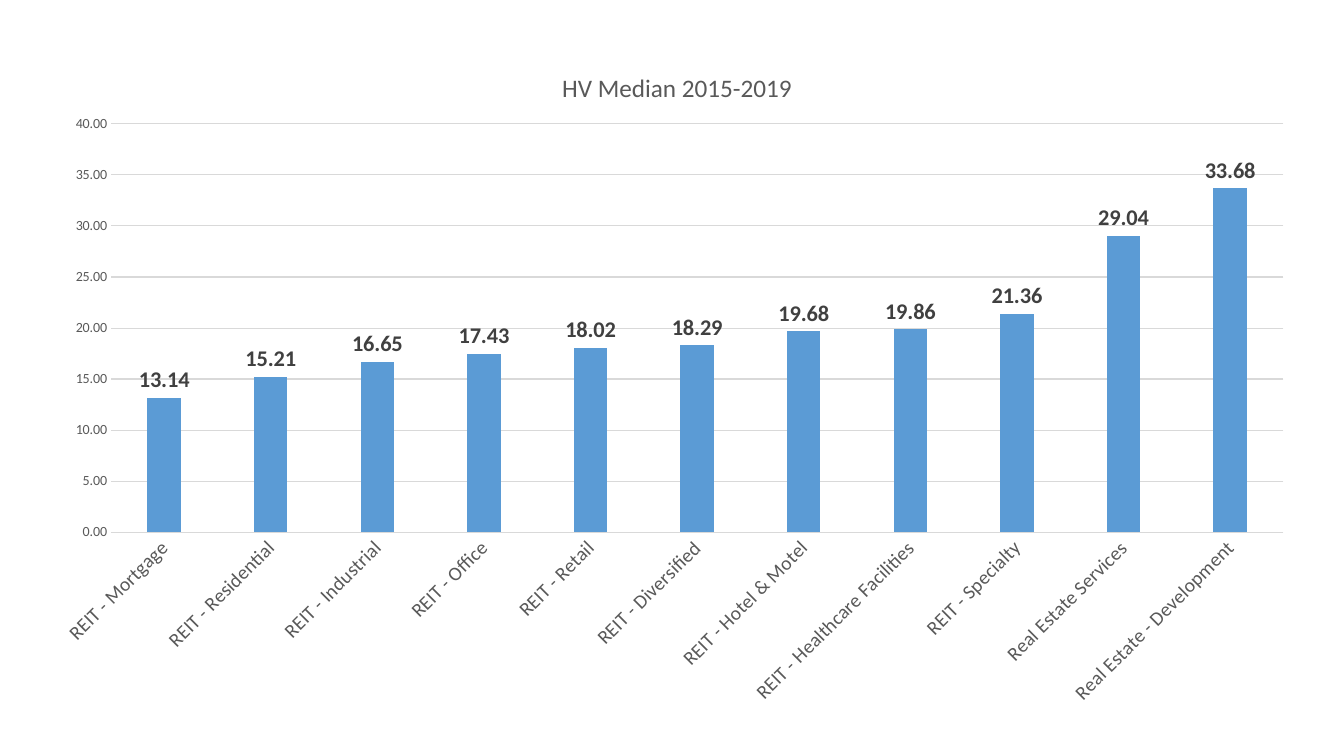
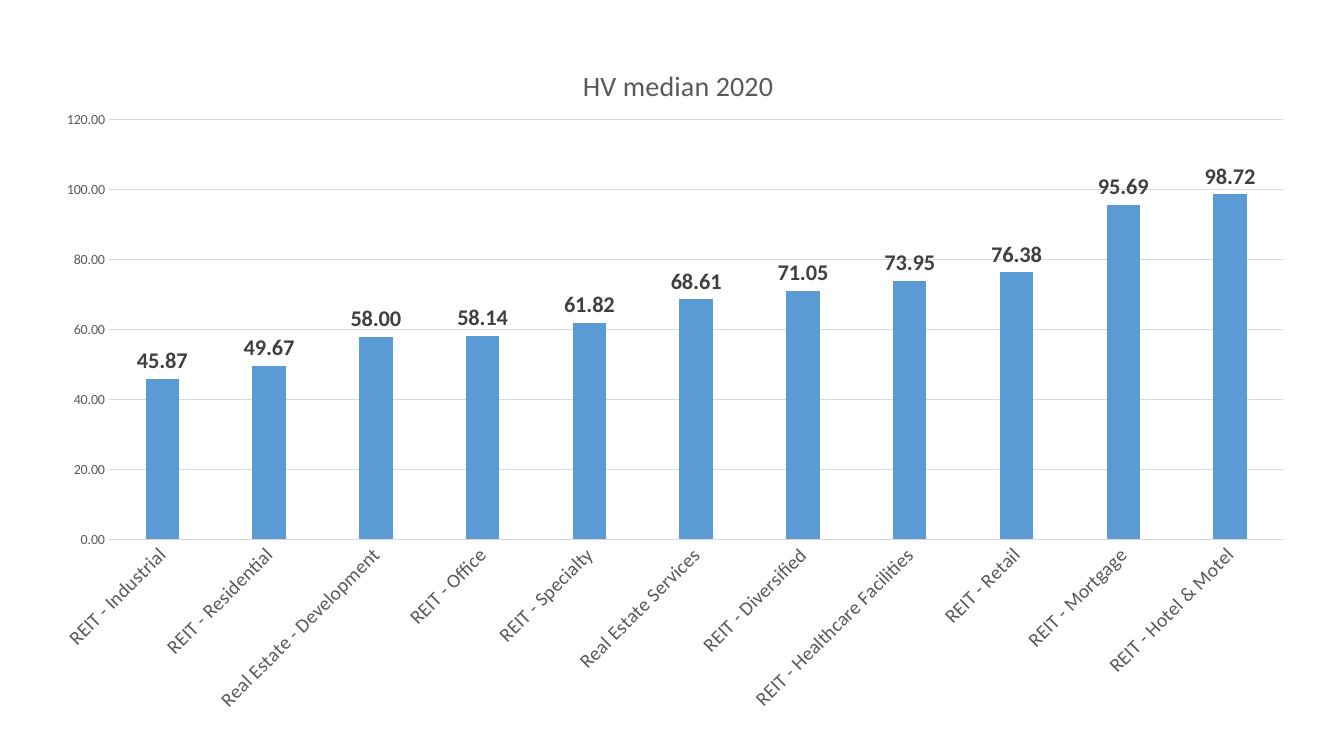
"""Two column charts of median historical volatility by real estate segment."""
import pptx
import pptx.chart.data
import pptx.dml.color
import pptx.enum.chart
import pptx.oxml
import pptx.oxml.ns
import pptx.util

BAR_BLUE = pptx.dml.color.RGBColor(0x5B, 0x9B, 0xD5)
GRID_GRAY = pptx.dml.color.RGBColor(0xD9, 0xD9, 0xD9)
AXIS_GRAY = pptx.dml.color.RGBColor(0x59, 0x59, 0x59)
LABEL_GRAY = pptx.dml.color.RGBColor(0x40, 0x40, 0x40)
Inches, Pt, qn = pptx.util.Inches, pptx.util.Pt, pptx.oxml.ns.qn
CHART_LEFT, CHART_WIDTH, PLOT_RIGHT = 0.38, 12.6, 12.73


def style_font(font, size, color, bold=False):
    font.name, font.size, font.bold = "Calibri", Pt(size), bold
    font.color.rgb = color


def set_layout(parent, index, **shares):
    for old in parent.findall(qn("c:layout")):
        parent.remove(old)
    layout = pptx.oxml.parse_xml(f'<c:layout {pptx.oxml.ns.nsdecls("c")}><c:manualLayout/></c:layout>')
    for tag, value in shares.items():
        entry = layout[0].makeelement(qn(f"c:{tag}"), {"val": str(value)})
        layout[0].append(entry)
    parent.insert(index, layout)


periods = [
    dict(title="HV Median 2015-2019", title_size=18, title_at=(5.53, 0.65),
         top=0.38, height=6.75, plot=(1.1, 1.23, 5.28), scale=(40, 5),
         medians={
             "REIT - Mortgage": 13.14, "REIT - Residential": 15.21,
             "REIT - Industrial": 16.65, "REIT - Office": 17.43,
             "REIT - Retail": 18.02, "REIT - Diversified": 18.29,
             "REIT - Hotel & Motel": 19.68, "REIT - Healthcare Facilities": 19.86,
             "REIT - Specialty": 21.36, "Real Estate Services": 29.04,
             "Real Estate - Development": 33.68}),
    dict(title="HV median 2020", title_size=20, title_at=(5.73, 0.6),
         top=0.34, height=6.86, plot=(1.08, 1.19, 5.35), scale=(120, 20),
         medians={
             "REIT - Industrial": 45.87, "REIT - Residential": 49.67,
             "Real Estate - Development": 58, "REIT - Office": 58.14,
             "REIT - Specialty": 61.82, "Real Estate Services": 68.61,
             "REIT - Diversified": 71.05, "REIT - Healthcare Facilities": 73.95,
             "REIT - Retail": 76.38, "REIT - Mortgage": 95.69,
             "REIT - Hotel & Motel": 98.72}),
]

deck = pptx.Presentation()
deck.slide_width, deck.slide_height = Inches(13.33), Inches(7.5)

for period in periods:
    top, height = period["top"], period["height"]
    slide = deck.slides.add_slide(deck.slide_layouts[6])
    volatility = pptx.chart.data.CategoryChartData(number_format="0.00")
    volatility.categories = list(period["medians"])
    volatility.add_series("Series 1", list(period["medians"].values()))
    chart = slide.shapes.add_chart(
        pptx.enum.chart.XL_CHART_TYPE.COLUMN_CLUSTERED, Inches(CHART_LEFT), Inches(top),
        Inches(CHART_WIDTH), Inches(height), volatility).chart
    chart.has_legend = False
    chart.font.name, chart.font.size = "Calibri", Pt(10)

    heading = chart.chart_title
    heading.text_frame.text = period["title"]
    style_font(heading.text_frame.paragraphs[0].runs[0].font, period["title_size"], AXIS_GRAY)
    title_left, title_top = period["title_at"]
    set_layout(heading._element, 1, xMode="edge", yMode="edge",
               x=(title_left - CHART_LEFT) / CHART_WIDTH, y=(title_top - top) / height)

    plot_left, plot_top, plot_bottom = period["plot"]
    set_layout(chart._chartSpace.chart.plotArea, 0, layoutTarget="inner", xMode="edge", yMode="edge",
               x=(plot_left - CHART_LEFT) / CHART_WIDTH, y=(plot_top - top) / height,
               w=(PLOT_RIGHT - plot_left) / CHART_WIDTH, h=(plot_bottom - plot_top) / height)

    segments, levels = chart.category_axis, chart.value_axis
    for axis, size in ((segments, 14), (levels, 10)):
        axis.major_tick_mark = axis.minor_tick_mark = pptx.enum.chart.XL_TICK_MARK.NONE
        style_font(axis.tick_labels.font, size, AXIS_GRAY)
    segments._element.find(qn("c:txPr")).find(qn("a:bodyPr")).set("rot", "-2700000")
    levels.minimum_scale = 0
    levels.maximum_scale, levels.major_unit = period["scale"]
    levels.tick_labels.number_format = "0.00"
    levels.tick_labels.number_format_is_linked = False
    levels.format.line.fill.background()
    for line in (segments.format.line, levels.major_gridlines.format.line):
        line.color.rgb, line.width = GRID_GRAY, Pt(0.75)

    columns = chart.plots[0]
    columns.vary_by_categories = False
    columns.gap_width, columns.overlap = 219, -27
    fill = columns.series[0].format.fill
    fill.solid()
    fill.fore_color.rgb = BAR_BLUE
    columns.has_data_labels = True
    labels = columns.data_labels
    labels.show_value = True
    labels.number_format, labels.number_format_is_linked = "0.00", False
    labels.position = pptx.enum.chart.XL_LABEL_POSITION.OUTSIDE_END
    style_font(labels.font, 16, LABEL_GRAY, bold=True)

deck.save("out.pptx")
